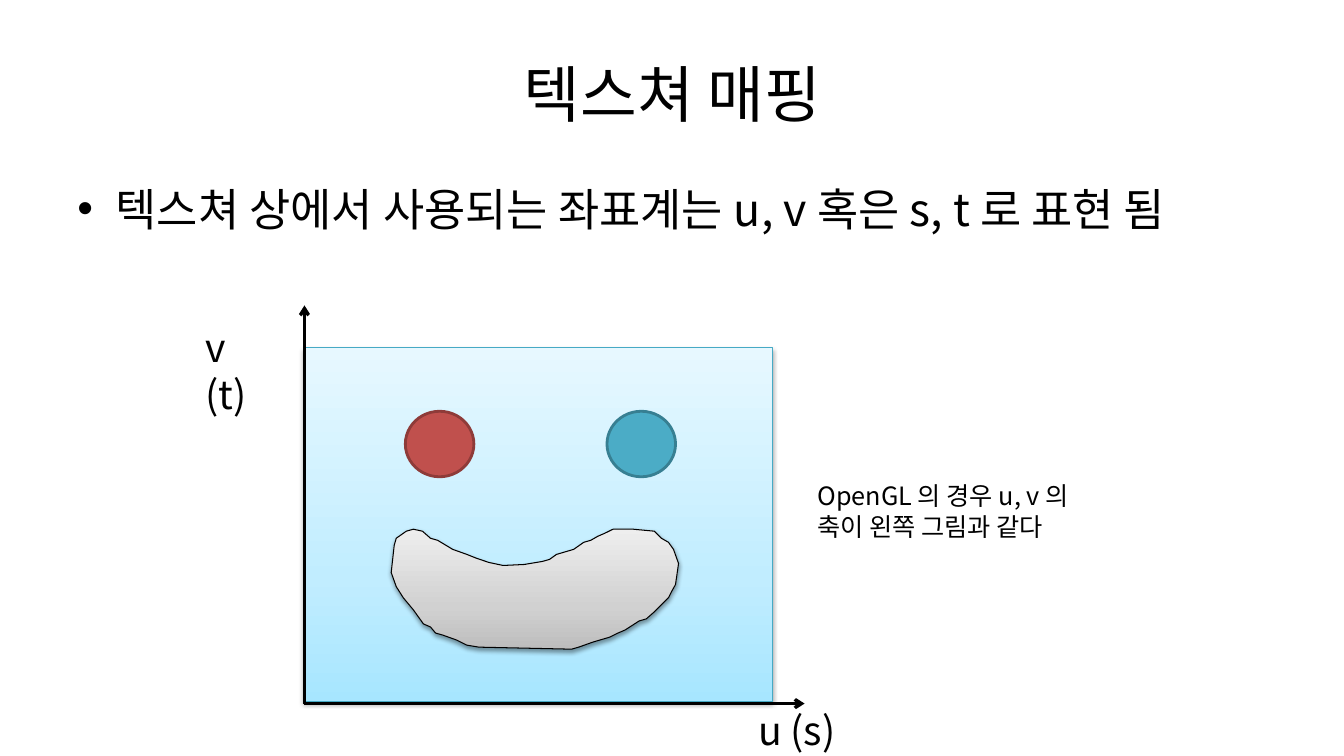
import copy
import pptx
import pptx.util
import pptx.dml.color
import pptx.enum.shapes
import pptx.enum.text
import pptx.oxml
import pptx.oxml.ns

Inches = pptx.util.Inches
Pt = pptx.util.Pt
RGB = pptx.dml.color.RGBColor.from_string
qn = pptx.oxml.ns.qn
kinds = pptx.enum.shapes.MSO_SHAPE
ns = pptx.oxml.ns.nsdecls("a")

theme = {
    "font": "Noto Sans CJK KR", "ink": "000000",
    "title": 44, "body": 32, "axis": 28, "note": 18,
    "sky": ["A7E6FF", "C1EDFF", "E7F8FF"], "edge": "46AAC5",
    "grey": ["BDBDBD", "D1D1D1", "EEEEEE"],
    "red": ("C0504D", "8E3B39"), "teal": ("4BACC6", "377F92"),
}


def write(shape, text, size):
    frame = shape.text_frame
    frame.word_wrap = True
    frame.text = text
    font = frame.paragraphs[0].runs[0].font
    font.name = theme["font"]
    font.size = Pt(theme[size])
    font.color.rgb = RGB(theme["ink"])
    font._element.find(qn("a:latin")).addnext(
        pptx.oxml.parse_xml(f'<a:ea {ns} typeface="{theme["font"]}"/>'))
    return frame.paragraphs[0]


def shade(shape, tones, edge):
    shape.fill.gradient()
    grad = shape._element.spPr.find(qn("a:gradFill"))
    stops = grad.find(qn("a:gsLst"))
    stops.insert(1, copy.deepcopy(stops[0]))
    for stop, spot, tone in zip(stops, (0, 35, 100), tones):
        stop.set("pos", str(spot * 1000))
        stop.remove(stop[0])
        stop.append(pptx.oxml.parse_xml(f'<a:srgbClr {ns} val="{tone}"/>'))
    grad.find(qn("a:lin")).set("ang", str(270 * 60000))
    shape.line.color.rgb = RGB(edge)
    shape.line.width = Pt(0.75)
    shape.shadow.inherit = False
    shape._element.spPr.find(qn("a:effectLst")).append(pptx.oxml.parse_xml(
        f'<a:outerShdw {ns} blurRad="{Pt(3.1)}" dist="{Pt(1.6)}" dir="5400000" '
        'rotWithShape="0"><a:srgbClr val="000000"><a:alpha val="38000"/>'
        '</a:srgbClr></a:outerShdw>'))


deck = pptx.Presentation()
deck.slide_width = Inches(13.33)
deck.slide_height = Inches(7.5)
slide = deck.slides.add_slide(deck.slide_layouts[5])

title = slide.shapes.title
title.left, title.top = Inches(0.67), Inches(0.3)
title.width, title.height = Inches(12), Inches(1.25)
title.text_frame.vertical_anchor = pptx.enum.text.MSO_ANCHOR.MIDDLE
write(title, "텍스쳐 매핑", "title").alignment = pptx.enum.text.PP_ALIGN.CENTER

body = slide.shapes.add_textbox(Inches(0.67), Inches(1.75), Inches(12), Inches(4.95))
point = write(body, "텍스쳐 상에서 사용되는 좌표계는 u, v 혹은 s, t 로 표현 됨", "body")
point.space_before = Pt(6.4)
props = point._p.get_or_add_pPr()
props.set("marL", str(Inches(0.38)))
props.set("indent", str(-Inches(0.38)))
props.append(pptx.oxml.parse_xml(f'<a:buFont {ns} typeface="Arial"/>'))
props.append(pptx.oxml.parse_xml(f'<a:buChar {ns} char="•"/>'))

face = slide.shapes.add_group_shape().shapes
panel = face.add_shape(kinds.RECTANGLE, Inches(3.01), Inches(3.45), Inches(4.65), Inches(3.51))
shade(panel, theme["sky"], theme["edge"])

for left, tone in ((4.02, "red"), (6.02, "teal")):
    eye = face.add_shape(kinds.OVAL, Inches(left), Inches(4.08), Inches(0.68), Inches(0.65))
    fill, edge = theme[tone]
    eye.fill.solid()
    eye.fill.fore_color.rgb = RGB(fill)
    eye.line.color.rgb = RGB(edge)
    eye.line.width = Pt(2)
    eye.shadow.inherit = False

curve = [
    (410, 605), (400, 593), (393, 582), (388, 568), (391, 541), (393, 534),
    (403, 527), (410, 525), (419, 527), (427, 534), (434, 536), (449, 545),
    (463, 550), (473, 554), (485, 558), (499, 561), (520, 560), (538, 557),
    (545, 555), (552, 550), (569, 545), (579, 538), (586, 536), (593, 532),
    (600, 529), (608, 525), (628, 525), (649, 527), (656, 534), (663, 538),
    (668, 545), (673, 559), (670, 580), (666, 587), (663, 593), (649, 607),
    (641, 614), (634, 616), (620, 625), (613, 628), (605, 632), (588, 637),
    (574, 642), (567, 644), (475, 642), (463, 640), (453, 635), (439, 630),
    (432, 628), (427, 622), (420, 619),
]
pen = face.build_freeform(*curve[0], scale=Inches(0.01))
pen.add_line_segments(curve[1:], close=True)
mouth = pen.convert_to_shape()
shade(mouth, theme["grey"], theme["ink"])

for x, y in ((7.98, 6.98), (3.02, 3.03)):
    axis = slide.shapes.add_connector(
        pptx.enum.shapes.MSO_CONNECTOR.STRAIGHT,
        Inches(3.02), Inches(6.98), Inches(x), Inches(y))
    axis.line.color.rgb = RGB(theme["ink"])
    axis.line.width = Pt(2.25)
    axis.line._get_or_add_ln().append(pptx.oxml.parse_xml(f'<a:tailEnd {ns} type="arrow"/>'))
    axis._element.spPr.append(pptx.oxml.parse_xml(f'<a:effectLst {ns}/>'))

for left, top, width, height, text, size in (
    (7.42, 6.96, 1.06, 0.57, "u (s)", "axis"),
    (1.94, 3.16, 0.87, 0.57, "v (t)", "axis"),
    (8.01, 4.72, 3.07, 0.71, "OpenGL 의 경우 u, v 의 축이 왼쪽 그림과 같다", "note"),
):
    label = slide.shapes.add_textbox(Inches(left), Inches(top), Inches(width), Inches(height))
    write(label, text, size)

deck.save("out.pptx")
